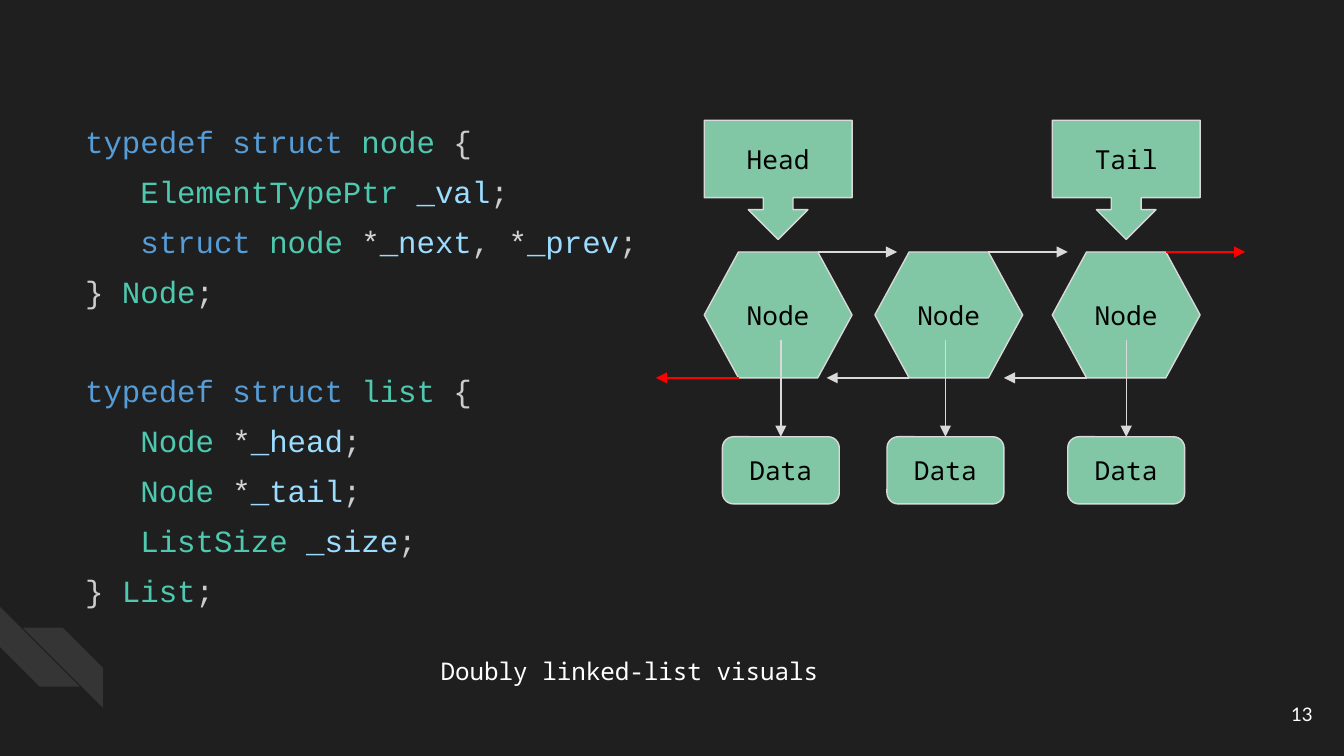
from dataclasses import dataclass

import pptx
import pptx.dml.color
import pptx.enum.shapes
import pptx.enum.text
import pptx.oxml
import pptx.oxml.ns
import pptx.util

SHAPES = pptx.enum.shapes.MSO_SHAPE
ALIGN = pptx.enum.text.PP_ALIGN
ANCHOR = pptx.enum.text.MSO_ANCHOR

SLIDE_WIDTH = pptx.util.Inches(10)
SLIDE_HEIGHT = SLIDE_WIDTH * 9 // 16
COLUMNS = 1000
ROWS = COLUMNS * 9 / 16

BACKGROUND = "1F1F1F"
WHITE = "FFFFFF"
BLACK = "000000"
GREEN = "82C7A5"
GREY = "D9D9D9"
RED = "FF0000"
DIAGRAM_FONT = "Noto Sans Mono"
CODE_FONT = "Courier New"
CODE_SIZE = 16.5
CODE_LINE_SPACING = 1.35
BLOCK_GAP = 26.6

CODE_BLOCKS = [
    [
        "typedef| |struct| |node| {",
        "   |ElementTypePtr| |_val|;",
        "   |struct| |node| |*|_next|, |*|_prev|;",
        "} |Node|;",
    ],
    [
        "typedef| |struct| |list| {",
        "   |Node| |*|_head|;",
        "   |Node| |*|_tail|;",
        "   |ListSize| |_size|;",
        "} |List|;",
    ],
]


@dataclass(frozen=True)
class Box:
    column: float
    row: float
    width: float
    height: float


@dataclass(frozen=True)
class ListNode:
    column: float
    data_column: float
    pointer: str = ""
    previous_color: str = GREY
    next_color: str = GREY


NODES = [
    ListNode(524, 537.5, pointer="Head", previous_color=RED),
    ListNode(651, 660),
    ListNode(783, 794.5, pointer="Tail", next_color=RED),
]
NODE_WIDTH, NODE_TOP, NODE_HEIGHT = 110, 187.5, 93.7
POINTER_TOP, POINTER_HEIGHT = 89.5, 88.7
DATA_TOP, DATA_WIDTH, DATA_HEIGHT = 325, 87, 50
DATA_LINK_TOP = 253
CORNER_INSET = 25.5
NEXT_LENGTH, PREVIOUS_LENGTH = 59, 61.5


def rgb(color: str) -> pptx.dml.color.RGBColor:
    return pptx.dml.color.RGBColor.from_string(color)


def across(column: float) -> int:
    return round(SLIDE_WIDTH * column / COLUMNS)


def down(row: float) -> int:
    return round(SLIDE_HEIGHT * row / ROWS)


def place(box: Box) -> tuple:
    return across(box.column), down(box.row), across(box.width), down(box.height)


def set_margins(frame) -> None:
    frame.word_wrap = True
    margin = pptx.util.Inches(0.1)
    frame.margin_left = frame.margin_right = margin
    frame.margin_top = frame.margin_bottom = margin


def add_run(paragraph, text: str, font: str, size: float, color: str) -> None:
    run = paragraph.add_run()
    run.text = text
    run.font.name = font
    run.font.size = pptx.util.Pt(size)
    run.font.color.rgb = rgb(color)


def write_label(shape, text: str, font: str, size: float, color: str,
                alignment=ALIGN.CENTER) -> None:
    frame = shape.text_frame
    set_margins(frame)
    frame.vertical_anchor = ANCHOR.MIDDLE
    paragraph = frame.paragraphs[0]
    paragraph.alignment = alignment
    add_run(paragraph, text, font, size, color)


def add_diagram_shape(slide, kind, box: Box, label: str):
    shape = slide.shapes.add_shape(kind, *place(box))
    shape.shadow.inherit = False
    shape.fill.solid()
    shape.fill.fore_color.rgb = rgb(GREEN)
    shape.line.color.rgb = rgb(GREY)
    shape.line.width = pptx.util.Pt(0.75)
    write_label(shape, label, DIAGRAM_FONT, 14, BLACK)
    return shape


def add_arrow(slide, start: tuple, end: tuple, color: str):
    arrow = slide.shapes.add_connector(
        pptx.enum.shapes.MSO_CONNECTOR.STRAIGHT,
        across(start[0]), down(start[1]), across(end[0]), down(end[1]))
    arrow.line.color.rgb = rgb(color)
    arrow.line.width = pptx.util.Pt(0.75)
    namespace = pptx.oxml.ns.nsdecls("a")
    arrow.line._get_or_add_ln().append(
        pptx.oxml.parse_xml(f'<a:tailEnd {namespace} type="triangle"/>'))
    arrow._element.spPr.append(pptx.oxml.parse_xml(f"<a:effectLst {namespace}/>"))
    return arrow


def add_stripe(slide, box: Box, rotation: float = 0, flipped: bool = False) -> None:
    stripe = slide.shapes.add_shape(SHAPES.DIAGONAL_STRIPE, *place(box))
    stripe.shadow.inherit = False
    stripe.rotation = rotation
    stripe.fill.solid()
    stripe.fill.fore_color.rgb = rgb(WHITE)
    stripe.line.fill.background()
    color = stripe._element.spPr.find(".//" + pptx.oxml.ns.qn("a:srgbClr"))
    color.append(pptx.oxml.parse_xml(
        f'<a:alpha {pptx.oxml.ns.nsdecls("a")} val="10000"/>'))
    if flipped:
        stripe._element.spPr.xfrm.set("flipH", "1")


def add_node(slide, node: ListNode) -> None:
    hexagon = add_diagram_shape(
        slide, SHAPES.HEXAGON,
        Box(node.column, NODE_TOP, NODE_WIDTH, NODE_HEIGHT), "Node")
    hexagon.adjustments[0] = 0.272
    left_corner = node.column + CORNER_INSET
    right_corner = node.column + NODE_WIDTH - CORNER_INSET
    bottom = NODE_TOP + NODE_HEIGHT
    add_arrow(slide, (left_corner, bottom),
              (left_corner - PREVIOUS_LENGTH, bottom), node.previous_color)
    add_arrow(slide, (right_corner, NODE_TOP),
              (right_corner + NEXT_LENGTH, NODE_TOP), node.next_color)
    if node.pointer:
        add_diagram_shape(
            slide, SHAPES.DOWN_ARROW_CALLOUT,
            Box(node.column, POINTER_TOP, NODE_WIDTH, POINTER_HEIGHT), node.pointer)
    data = add_diagram_shape(
        slide, SHAPES.ROUNDED_RECTANGLE,
        Box(node.data_column, DATA_TOP, DATA_WIDTH, DATA_HEIGHT), "Data")
    center = node.data_column + DATA_WIDTH / 2
    link = add_arrow(slide, (center, DATA_LINK_TOP), (center, DATA_TOP), GREY)
    link.end_connect(data, 0)


def token_color(token: str) -> str:
    if token in ("typedef", "struct"):
        return "569CD6"
    if token.startswith("_"):
        return "9CDCFE"
    if token == "*":
        return "D4D4D4"
    return "4EC9B0" if token.isalnum() else "CCCCCC"


def add_code(slide, box: Box) -> None:
    frame = slide.shapes.add_textbox(*place(box)).text_frame
    set_margins(frame)
    frame.auto_size = pptx.enum.text.MSO_AUTO_SIZE.SHAPE_TO_FIT_TEXT
    for block_index, block in enumerate(CODE_BLOCKS):
        for line_index, line in enumerate(block):
            first = block_index == line_index == 0
            paragraph = frame.paragraphs[0] if first else frame.add_paragraph()
            paragraph.line_spacing = CODE_LINE_SPACING
            if block_index and not line_index:
                paragraph.space_before = pptx.util.Pt(BLOCK_GAP)
            for token in line.split("|"):
                add_run(paragraph, token, CODE_FONT, CODE_SIZE, token_color(token))


def main() -> None:
    presentation = pptx.Presentation()
    presentation.slide_width = SLIDE_WIDTH
    presentation.slide_height = SLIDE_HEIGHT
    slide = presentation.slides.add_slide(presentation.slide_layouts[6])
    slide.background.fill.solid()
    slide.background.fill.fore_color.rgb = rgb(BACKGROUND)
    add_stripe(slide, Box(0, 451.5, 59.5, 59.5), rotation=270)
    add_stripe(slide, Box(17, 467, 59.5, 59.5), flipped=True)
    caption = slide.shapes.add_textbox(*place(Box(89, 471, 758.5, 57)))
    write_label(caption, "Doubly linked-list visuals", DIAGRAM_FONT, 13, WHITE)
    number = slide.shapes.add_textbox(*place(Box(926.5, 510, 60, 43)))
    write_label(number, "13", "Lato", 10, WHITE, ALIGN.RIGHT)
    add_code(slide, Box(53.5, 72, 435, 387))
    for node in NODES:
        add_node(slide, node)
    presentation.save("out.pptx")


if __name__ == "__main__":
    main()
